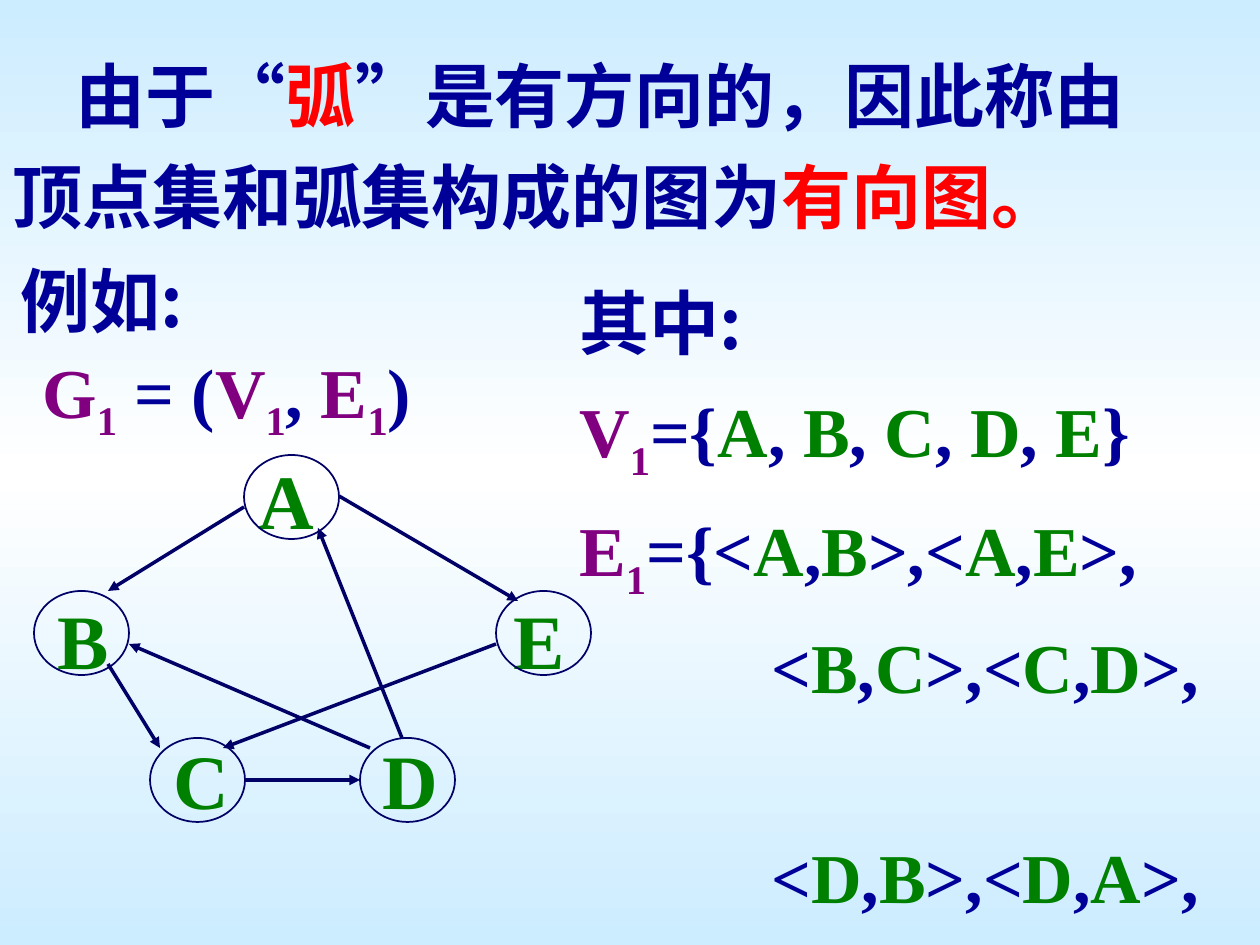
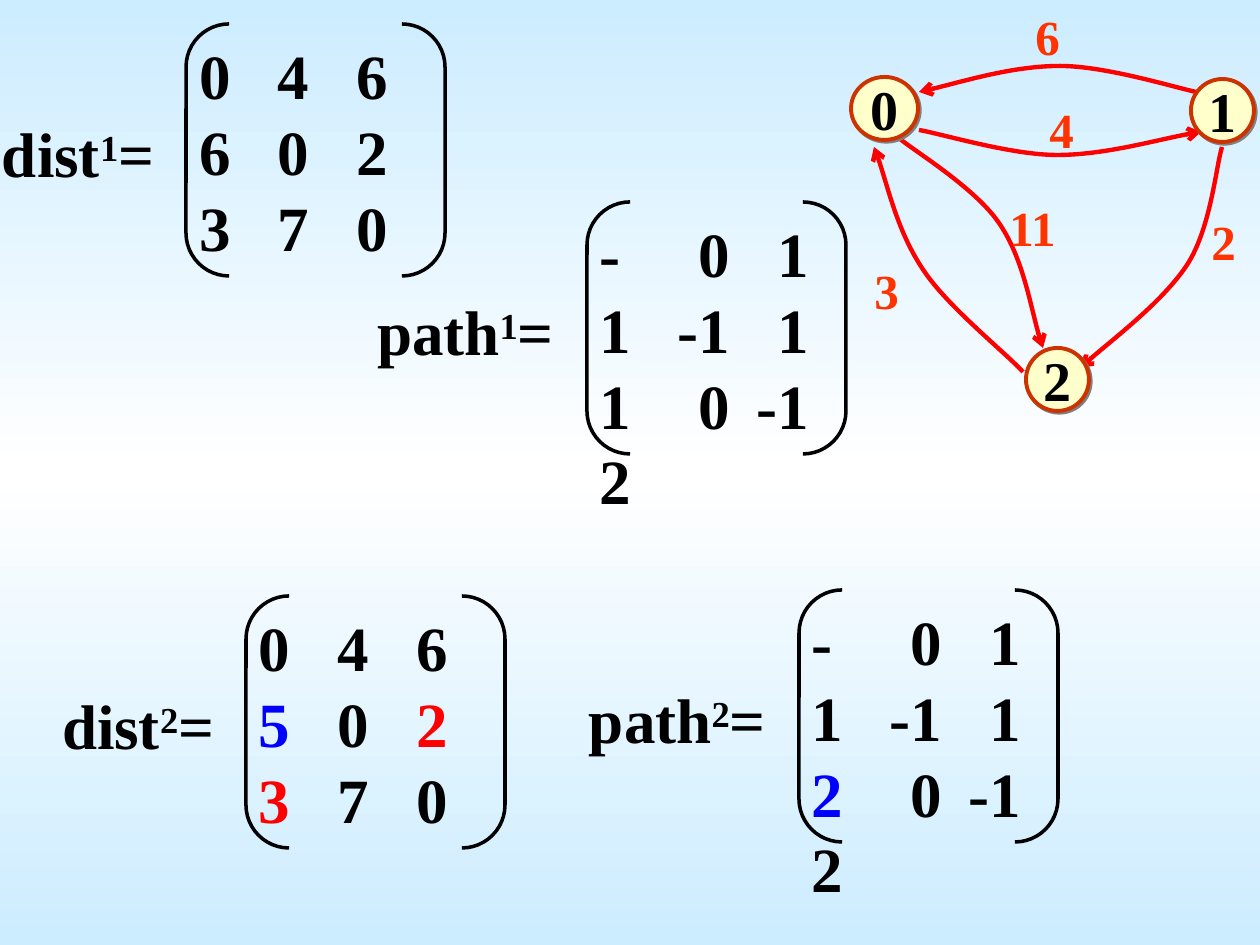
import copy
import itertools

import lxml.etree
import pptx
import pptx.dml.color
import pptx.enum.shapes
import pptx.enum.text
import pptx.oxml.ns
import pptx.util

COLORS = {
    "sky": "CCECFF", "white": "FFFFFF", "black": "000000", "navy": "000099",
    "ink": "000066", "red": "FF0000", "purple": "800080", "green": "008000",
    "cream": "FFFFCC", "rust": "CC3300", "orange": "FF3300", "blue": "0000FF",
    "gray": "808080",
}
LATIN = "Times New Roman"
CJK = "Noto Sans CJK SC"
SCALE = 914400 / 126
SHAPE = pptx.enum.shapes.MSO_SHAPE
qn = pptx.oxml.ns.qn


def px(n):
    return pptx.util.Emu(round(n * SCALE))


def rgb(name):
    return pptx.dml.color.RGBColor.from_string(COLORS[name])


def add(parent, tag, **attrs):
    return lxml.etree.SubElement(parent, qn(tag), {k: str(v) for k, v in attrs.items()})


def symbol(name):
    return [(name, "purple"), ("1", "purple", -25)]


def notation(text):
    return [("".join(chars), "green" if vertex else "navy")
            for vertex, chars in itertools.groupby(text, str.isalpha)]


class Deck:
    def __init__(self):
        self.prs = pptx.Presentation()
        self.prs.slide_width, self.prs.slide_height = px(1260), px(945)
        self.slide = None
        self.background()

    def background(self):
        master = self.prs.slide_master
        fill = master.background.fill
        fill.gradient()
        fill.gradient_angle = 90
        stops = master.element.find(".//" + qn("a:gsLst"))
        stops.append(copy.deepcopy(stops[0]))
        for stop, position, color in zip(fill.gradient_stops, (0, 0.5, 1), ("sky", "white", "sky")):
            stop.position = position
            stop.color.rgb = rgb(color)

    def new_slide(self):
        self.slide = self.prs.slides.add_slide(self.prs.slide_layouts[6])

    def frame(self, sp, inset=True, wrap=True):
        tf = sp.text_frame
        tf.word_wrap = wrap
        tf.margin_left = tf.margin_right = pptx.util.Inches(0.1 if inset else 0)
        tf.margin_top = tf.margin_bottom = pptx.util.Inches(0.05 if inset else 0)
        tf.vertical_anchor = pptx.enum.text.MSO_ANCHOR.TOP
        return tf

    def paragraph(self, tf, runs, size, font=LATIN, line=None, before=0,
                  left=0, align="LEFT"):
        p = tf.paragraphs[0]
        if p.runs:
            p = tf.add_paragraph()
        p.alignment = getattr(pptx.enum.text.PP_ALIGN, align)
        p.line_spacing = pptx.util.Pt(line or 1.2 * size)
        p.space_before = pptx.util.Pt(before)
        pPr = p._p.get_or_add_pPr()
        pPr.set("marL", "0")
        pPr.set("indent", str(px(left)))
        for text, color, *baseline in runs:
            r = p.add_run()
            r.text = text
            r.font.size = pptx.util.Pt(size)
            r.font.bold = True
            r.font.color.rgb = rgb(color)
            r.font.name = font
            rPr = r._r.get_or_add_rPr()
            add(rPr, "a:ea", typeface=font)
            if baseline:
                rPr.set("baseline", str(baseline[0] * 1000))

    def textbox(self, x, y, w, h, inset=True, wrap=True):
        sp = self.slide.shapes.add_textbox(px(x), px(y), px(w), px(h))
        return self.frame(sp, inset, wrap)

    def line_of_text(self, x, y, w, h, runs, size, inset=True, wrap=True, **style):
        self.paragraph(self.textbox(x, y, w, h, inset, wrap), runs, size, **style)

    def shape(self, kind, x, y, w, h, line, width, fill=None):
        sp = self.slide.shapes.add_shape(kind, px(x), px(y), px(w), px(h))
        sp.shadow.inherit = False
        self.outline(sp, line, width)
        if fill:
            sp.fill.solid()
            sp.fill.fore_color.rgb = rgb(fill)
        else:
            sp.fill.background()
        return sp

    def outline(self, sp, color, width, head=None):
        sp.line.color.rgb = rgb(color)
        sp.line.width = pptx.util.Pt(width)
        if head:
            add(sp.line._get_or_add_ln(), "a:tailEnd", type=head)

    def arrow(self, x1, y1, x2, y2):
        sp = self.slide.shapes.add_connector(
            pptx.enum.shapes.MSO_CONNECTOR.STRAIGHT, px(x1), px(y1), px(x2), px(y2))
        self.outline(sp, "ink", 2, "triangle")
        add(sp._element.spPr, "a:effectLst")

    def curve(self, start, *points):
        builder = self.slide.shapes.build_freeform(*start, scale=SCALE)
        builder.add_line_segments(points, close=False)
        sp = builder.convert_to_shape()
        outline = sp._element.find(".//" + qn("a:path"))
        segments = outline.findall(qn("a:lnTo"))
        for i in range(0, len(segments), 3):
            bezier = add(outline, "a:cubicBezTo")
            for segment in segments[i:i + 3]:
                bezier.append(segment[0])
                outline.remove(segment)
        sp.fill.background()
        self.outline(sp, "red", 2.5, "arrow")
        sp.shadow.inherit = False

    def numbered_node(self, label, x, y, w):
        sp = self.shape(SHAPE.OVAL, x, y, w, 63, "rust", 2.25, "cream")
        effects = sp._element.spPr.find(qn("a:effectLst"))
        shadow = add(effects, "a:outerShdw", blurRad=0, dist=17961, dir=2700000,
                     algn="ctr", rotWithShape=0)
        add(shadow, "a:srgbClr", val=COLORS["gray"])
        tf = self.frame(sp, wrap=False)
        tf.vertical_anchor = pptx.enum.text.MSO_ANCHOR.MIDDLE
        self.paragraph(tf, [(label, "black")], 32, align="CENTER")

    def matrix(self, name, step, x, y, rows, marks=None):
        offset, edges = {"dist": (184, (45, 123, 202)), "path": (210, (64, 143, 222))}[name]
        label = [(name, "black"), (step, "black", 26), ("=", "black")]
        self.line_of_text(x - offset, y + 91, offset, 76, label, 36, inset=False, wrap=False)
        sp = self.shape(SHAPE.DOUBLE_BRACKET, x, y, 259, 252, "black", 2)
        sp.adjustments[0] = 0.171
        left = 13
        for j, right in enumerate(edges):
            tf = self.textbox(x + left, y + 13, right - left, 227, inset=False)
            for i, row in enumerate(rows):
                color = (marks or {}).get((i, j), "black")
                self.paragraph(tf, [(str(row[j]), color)], 36, align="RIGHT" if j else "LEFT")
            left = right


def directed_graph(deck):
    deck.new_slide()
    tf = deck.textbox(-15, 30, 1275, 214)
    deck.paragraph(tf, [("由于“", "navy"), ("弧", "red"), ("”是有方向的，因此称由", "navy")],
                   40, CJK, 57.5, left=78)
    deck.paragraph(tf, [("顶点集和弧集构成的图为", "navy"), ("有向图。", "red")],
                   40, CJK, 57.5, left=15)

    for vertex, x, row in (("A", 246, 0), ("B", 45, 1), ("E", 501, 1),
                           ("C", 161, 2), ("D", 370, 2)):
        deck.line_of_text(x, 446 + 140 * row, 84, 105, [(vertex, "green")], 44, wrap=False)
    for x, y in ((496, 591), (244, 455), (150, 738), (34, 591), (360, 738)):
        deck.shape(SHAPE.OVAL, x, y, 95, 84, "ink", 1)
    for ends in ((244, 507, 108, 591), (108, 664, 160, 748), (244, 780, 360, 780),
                 (402, 738, 318, 528), (339, 496, 518, 601), (370, 748, 129, 644),
                 (496, 644, 223, 748)):
        deck.arrow(*ends)

    deck.line_of_text(8, 235, 240, 113, [("例如:", "navy")], 40, font=CJK, line=57.5)
    graph = (symbol("G") + [(" = (", "navy")] + symbol("V") + [(", ", "navy")]
             + symbol("E") + [(")", "navy")])
    deck.line_of_text(30, 337, 440, 113, graph, 40, line=57.5)

    tf = deck.textbox(567, 239, 680, 697)
    deck.paragraph(tf, [("其中:", "navy")], 40, CJK, 67.5)
    deck.paragraph(tf, symbol("V") + notation("={A, B, C, D, E}"), 40, line=68.5)
    deck.paragraph(tf, symbol("E") + notation("={<A,B>,<A,E>,"), 40, line=68)
    deck.paragraph(tf, notation("<B,C>,<C,D>,"), 40, line=60, left=192)
    deck.paragraph(tf, notation("<D,B>,<D,A>,"), 40, line=60, left=192, before=60)


def shortest_paths(deck):
    deck.new_slide()
    deck.curve((919, 130), (942, 134), (1011, 155), (1057, 155),
               (1104, 155), (1171, 136), (1201, 132))
    deck.curve((1023, 372), (1007, 354), (948, 307), (924, 271),
               (898, 233), (885, 174), (874, 147))
    deck.curve((1196, 92), (1173, 87), (1105, 66), (1060, 66),
               (1013, 66), (948, 86), (919, 92))
    deck.curve((1222, 147), (1216, 166), (1211, 228), (1187, 265),
               (1163, 301), (1103, 347), (1080, 368))
    deck.curve((900, 139), (916, 152), (975, 188), (999, 223),
               (1023, 258), (1033, 321), (1043, 348))
    for node in (("0", 851, 77, 67), ("1", 1191, 79, 63), ("2", 1026, 348, 63)):
        deck.numbered_node(*node)
    for weight, x, y, w in (("2", 1199, 205, 49), ("11", 997, 191, 74), ("3", 862, 254, 49),
                            ("6", 1023, 0, 49), ("4", 1037, 93, 49)):
        deck.line_of_text(x, y, w, 72, [(weight, "orange")], 28, wrap=False)

    deck.matrix("dist", "2", 246, 596, [(0, 4, 6), (5, 0, 2), (3, 7, 0)],
                {(1, 0): "blue", (1, 2): "red", (2, 0): "red"})
    deck.matrix("path", "2", 799, 590, [(-1, 0, 1), (2, -1, 1), (2, 0, -1)],
                {(1, 0): "blue"})
    deck.matrix("dist", "1", 186, 24, [(0, 4, 6), (6, 0, 2), (3, 7, 0)])
    deck.matrix("path", "1", 587, 202, [(-1, 0, 1), (1, -1, 1), (2, 0, -1)])


def main():
    deck = Deck()
    directed_graph(deck)
    shortest_paths(deck)
    deck.prs.save("out.pptx")


if __name__ == "__main__":
    main()
